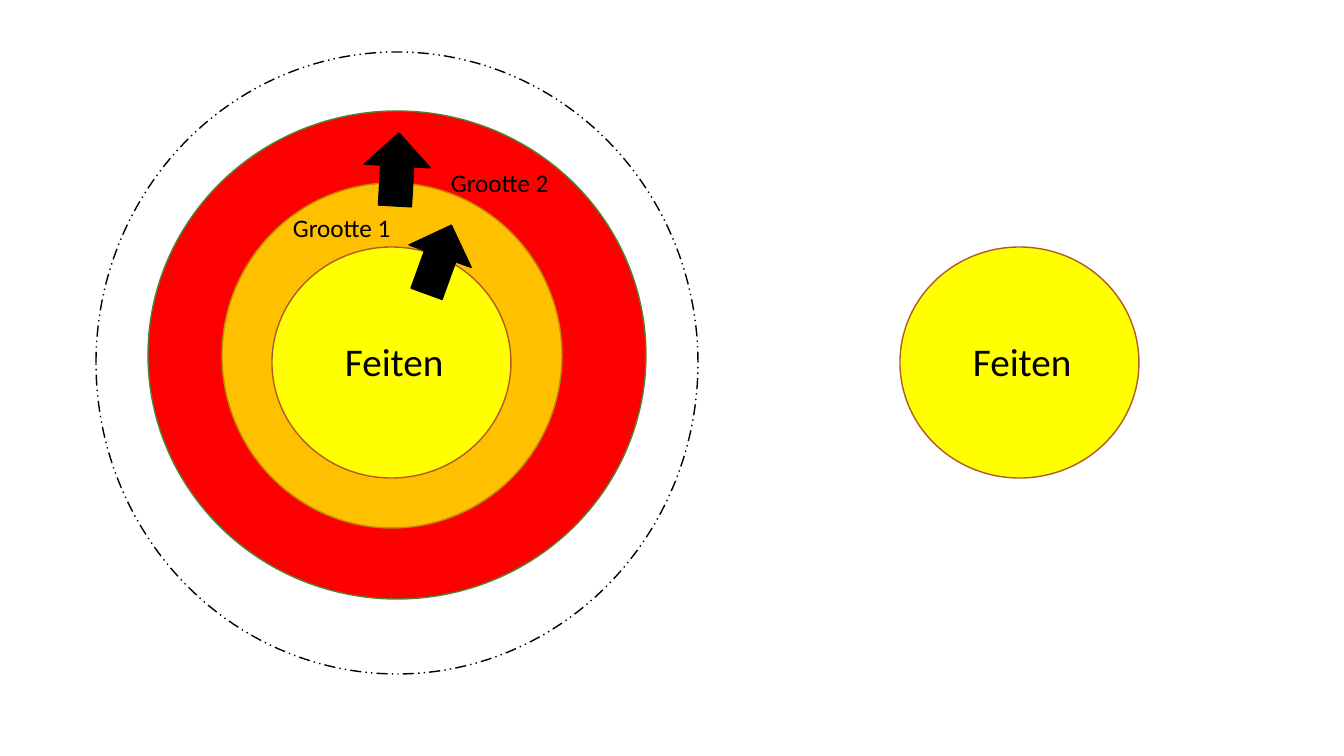
from typing import NamedTuple, Optional

from pptx import Presentation
from pptx.dml.color import RGBColor
from pptx.enum.dml import MSO_LINE
from pptx.enum.shapes import MSO_SHAPE
from pptx.enum.text import MSO_AUTO_SIZE
from pptx.util import Emu, Pt

SCALE = 914400 / 100.8
FACTS_SHIFT = 628

BLACK = RGBColor(0x00, 0x00, 0x00)
RED = RGBColor(0xFF, 0x00, 0x00)
GREEN = RGBColor(0x53, 0x80, 0x35)
ORANGE = RGBColor(0xFF, 0xC0, 0x00)
OCHRE = RGBColor(0xBD, 0x8E, 0x00)
YELLOW = RGBColor(0xFF, 0xFF, 0x00)
BROWN = RGBColor(0xAF, 0x5C, 0x24)


class Box(NamedTuple):
    """Place and size in pixels."""

    left: int
    top: int
    width: int
    height: int


class Figure(NamedTuple):
    """An outlined preset shape."""

    box: Box
    fill: Optional[RGBColor]
    line: RGBColor
    kind: MSO_SHAPE = MSO_SHAPE.OVAL
    rotation: float = 0
    dash: Optional[MSO_LINE] = None


class Label(NamedTuple):
    """A line of text with its size in points."""

    box: Box
    text: str
    size: int


RINGS = [
    Figure(Box(96, 52, 602, 622), None, BLACK, dash=MSO_LINE.DASH_DOT_DOT),
    Figure(Box(148, 111, 498, 488), RED, GREEN),
    Figure(Box(222, 183, 340, 345), ORANGE, OCHRE),
]
FACTS_CIRCLE = Figure(Box(272, 247, 239, 231), YELLOW, BROWN)
FACTS_LABEL = Label(Box(335, 332, 124, 57), "Feiten", 28)
ARROWS = [
    Figure(Box(406, 223, 66, 73), BLACK, BLACK, MSO_SHAPE.UP_ARROW, 19.9),
    Figure(Box(364, 133, 66, 73), BLACK, BLACK, MSO_SHAPE.UP_ARROW, 3.2),
]
SIZE_LABELS = [
    Label(Box(283, 207, 138, 40), "Grootte 1", 18),
    Label(Box(441, 162, 138, 40), "Grootte 2", 18),
]


def px(pixels: int) -> Emu:
    """Convert pixels to EMU."""
    return Emu(round(pixels * SCALE))


def draw_figure(s, figure: Figure) -> None:
    """Draw one outlined preset shape."""
    sp = s.shapes.add_shape(figure.kind, *map(px, figure.box))
    sp.shadow.inherit = False
    sp.rotation = figure.rotation
    if figure.fill is None:
        sp.fill.background()
    else:
        sp.fill.solid()
        sp.fill.fore_color.rgb = figure.fill
    sp.line.color.rgb = figure.line
    sp.line.width = Pt(1)
    if figure.dash is not None:
        sp.line.dash_style = figure.dash


def draw_label(s, label: Label) -> None:
    """Draw one line of black text."""
    tf = s.shapes.add_textbox(*map(px, label.box)).text_frame
    tf.word_wrap = True
    tf.auto_size = MSO_AUTO_SIZE.SHAPE_TO_FIT_TEXT
    p = tf.paragraphs[0]
    p.text = label.text
    p.font.name = "Calibri"
    p.font.size = Pt(label.size)
    p.font.color.rgb = BLACK


def draw_facts(s, shift: int = 0) -> None:
    """Draw the facts circle and its label, shifted to the right."""
    circle, label = (
        item._replace(box=item.box._replace(left=item.box.left + shift))
        for item in (FACTS_CIRCLE, FACTS_LABEL)
    )
    draw_figure(s, circle)
    draw_label(s, label)


def main() -> None:
    """Build and save the slide."""
    prs = Presentation()
    prs.slide_width, prs.slide_height = px(1344), px(756)
    s = prs.slides.add_slide(prs.slide_layouts[6])
    for ring in RINGS:
        draw_figure(s, ring)
    draw_facts(s)
    for arrow in ARROWS:
        draw_figure(s, arrow)
    for label in SIZE_LABELS:
        draw_label(s, label)
    draw_facts(s, FACTS_SHIFT)
    prs.save("out.pptx")


main()
